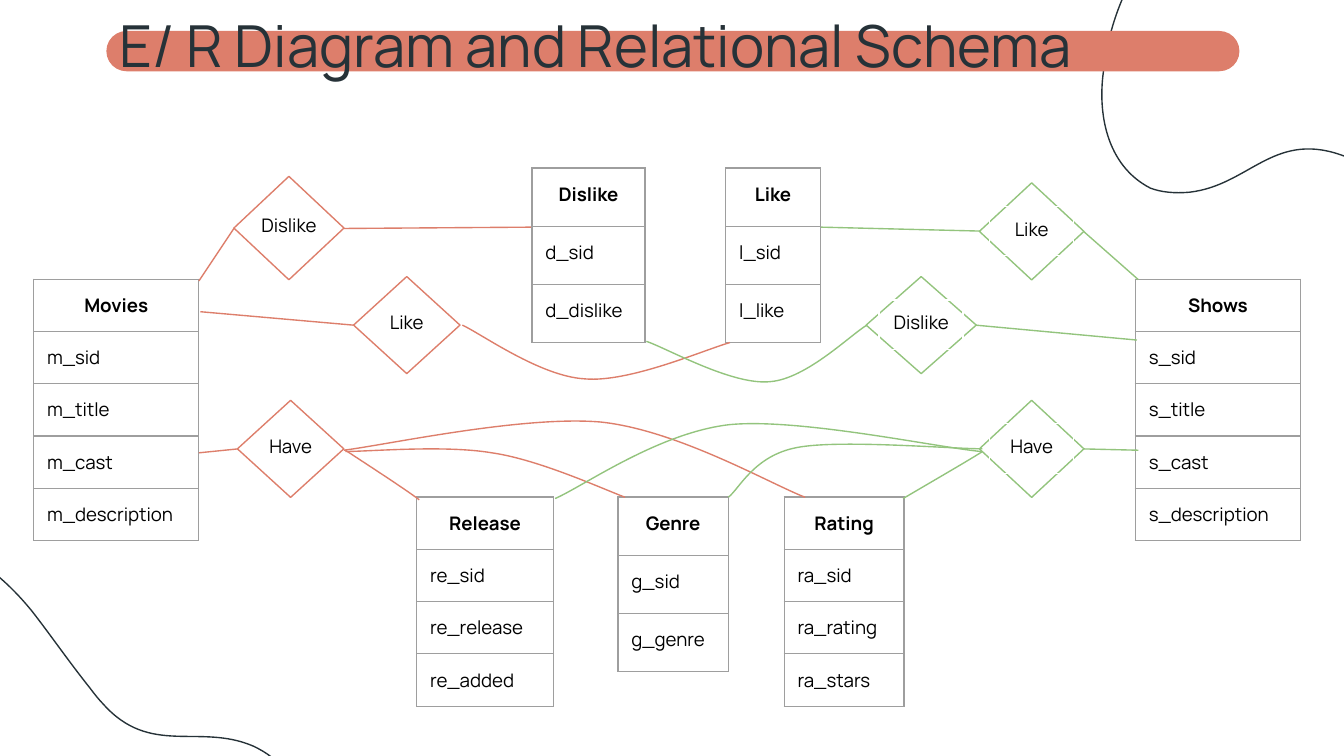
from dataclasses import dataclass

from lxml import etree
from pptx import Presentation
from pptx.dml.color import RGBColor
from pptx.enum.shapes import MSO_CONNECTOR, MSO_SHAPE
from pptx.enum.text import MSO_ANCHOR, MSO_AUTO_SIZE, PP_ALIGN
from pptx.oxml.ns import qn
from pptx.util import Pt

STRAIGHT = MSO_CONNECTOR.STRAIGHT
DIAMOND, PILL, BOX = MSO_SHAPE.DIAMOND, MSO_SHAPE.ROUNDED_RECTANGLE, MSO_SHAPE.RECTANGLE
LEFT, CENTER = PP_ALIGN.LEFT, PP_ALIGN.CENTER
TOP, MIDDLE = MSO_ANCHOR.TOP, MSO_ANCHOR.MIDDLE
GROW = MSO_AUTO_SIZE.SHAPE_TO_FIT_TEXT


@dataclass(frozen=True)
class Theme:
    ink: str = "263238"
    black: str = "000000"
    white: str = "FFFFFF"
    coral: str = "DD7E6B"
    green: str = "93C47D"
    border: str = "9E9E9E"
    font: str = "Manrope"
    title_size: float = 31
    text_size: float = 10
    line_width: float = 0.75
    inset: float = 7.2


@dataclass(frozen=True)
class Entity:
    left: float
    top: float
    width: float
    row_height: float
    names: tuple[str, ...]


@dataclass(frozen=True)
class Relation:
    label: str
    left: float
    top: float
    width: float
    height: float
    color: str
    label_outline: bool = False


@dataclass(frozen=True)
class Link:
    color: str
    points: tuple[tuple[float, float], ...]


THEME = Theme()
CORAL, GREEN = THEME.coral, THEME.green
LABEL_WIDTH, LABEL_HEIGHT, LABEL_RISE = 45, 26.6, 13.5

ENTITIES = (
    Entity(285, 90, 60.5, 31.2, ("Dislike", "d_sid", "d_dislike")),
    Entity(388.8, 90, 50.6, 31.2, ("Like", "l_sid", "l_like")),
    Entity(18, 149.6, 88.5, 28, ("Movies", "m_sid", "m_title", "m_cast", "m_description")),
    Entity(608.2, 149.6, 88.5, 28, ("Shows", "s_sid", "s_title", "s_cast", "s_description")),
    Entity(223.2, 266.3, 73.2, 28, ("Release", "re_sid", "re_release", "re_added")),
    Entity(331.1, 266.3, 59, 31.2, ("Genre", "g_sid", "g_genre")),
    Entity(420.1, 266.3, 64.2, 28, ("Rating", "ra_sid", "ra_rating", "ra_stars")),
)
RELATIONS = (
    Relation("Like", 524.7, 98, 56, 52, GREEN, True),
    Relation("Have", 524.7, 214.5, 56, 52, GREEN, True),
    Relation("Dislike", 464, 148.2, 59, 52, GREEN, True),
    Relation("Dislike", 125.3, 94.5, 59, 55.4, CORAL),
    Relation("Have", 127.2, 214.5, 57, 52, CORAL),
    Relation("Like", 189.4, 148.2, 57, 52, CORAL),
)
LINES = (
    Link(CORAL, ((106.6, 150.5), (125.3, 122.4))),
    Link(CORAL, ((107.3, 167), (189.4, 174.2))),
    Link(CORAL, ((106.6, 242.6), (127.4, 240.5))),
    Link(CORAL, ((184.3, 122.4), (284.4, 121.7))),
    Link(GREEN, ((524.9, 123.8), (439.9, 121.7))),
    Link(GREEN, ((580.3, 123.8), (609.8, 149.8))),
    Link(GREEN, ((522.7, 174.2), (609.1, 182.2))),
    Link(GREEN, ((580.3, 240.5), (609.8, 241.2))),
)
# Each curve is a start point followed by cubic triples
CURVES = (
    Link(CORAL, ((247.7, 174.2), (258.5, 179.3), (289.4, 201.6), (313.2, 203),
                 (337, 205.2), (378, 187.2), (391, 183.6))),
    Link(GREEN, ((464.4, 174.2), (455.8, 179.3), (432, 203), (412.6, 204.5),
                 (392.4, 206.6), (357.1, 186.5), (346.3, 182.9))),
    Link(CORAL, ((184.3, 241.2), (207.4, 238.3), (280.1, 222.5), (321.8, 226.1),
                 (362.9, 230.4), (412.6, 259.2), (431.3, 266.4))),
    Link(CORAL, ((185, 241.9), (198, 241.9), (238.3, 238.3), (263.5, 242.6),
                 (288.7, 246.2), (323.3, 262.1), (334.8, 266.4))),
    Link(CORAL, ((185, 241.2), (191.5, 245.5), (218.2, 262.8), (224.6, 267.8))),
    Link(GREEN, ((525.6, 241.9), (502.6, 239.8), (428.4, 223.9), (391, 227.5),
                 (352.8, 231.8), (312.5, 260.6), (297.4, 267.1))),
    Link(GREEN, ((526.3, 240.5), (509.8, 240.5), (449.3, 235.4), (427, 239.8),
                 (403.9, 244.1), (396, 262.1), (390.2, 266.4))),
    Link(GREEN, ((526.3, 241.9), (519.8, 246.2), (491, 262.8), (483.8, 267.1))),
)
BLOBS = (
    Link(THEME.ink, (
        (616.3, 100.8), (622.1, 103), (629.3, 103.7), (637.2, 103), (668.9, 99.4),
        (681.8, 70.6), (717.8, 82.8), (721.4, 84.2), (725, 85), (728.6, 86.4),
        (745.2, 92.9), (760.3, 100.8), (775.4, 106.6), (794.2, 113.8), (812.9, 118.1),
        (836.6, 114.5), (877.7, 109.4), (895, 85), (900, 51.1), (910.1, -7.9),
        (872.6, -51.1), (818.6, -72), (795.6, -80.6), (769.7, -85), (743, -85),
        (658.1, -85), (599, -33.1), (591.1, 38.9), (588.2, 60.5), (592.6, 88.6),
        (616.3, 100.8))),
    Link(THEME.ink, (
        (152.6, 412.6), (148.3, 407.5), (143.3, 403.2), (135.4, 399.6), (106.6, 387.4),
        (80.6, 405.4), (55.4, 377.3), (52.6, 374.4), (50.4, 371.5), (48.2, 368.6),
        (36.7, 354.2), (27.4, 340.6), (17.3, 327.6), (5, 312.5), (-9.4, 299.5),
        (-31.7, 290.2), (-69.8, 274.3), (-96.5, 287.3), (-118.8, 313.9), (-156.2, 360),
        (-145.4, 416.2), (-109.4, 460.8), (-93.6, 480.2), (-73.4, 496.8), (-50.4, 510.5),
        (23, 552.2), (100.1, 537.1), (143.3, 478.8), (156.2, 461.5), (169.9, 432),
        (152.6, 412.6))),
)


def write(frame, text: str, *, size: float = THEME.text_size, color: str = THEME.black,
          bold: bool = False, align=LEFT, anchor=TOP) -> None:
    frame.margin_left = frame.margin_right = Pt(THEME.inset)
    frame.margin_top = frame.margin_bottom = Pt(THEME.inset)
    frame.word_wrap, frame.vertical_anchor = True, anchor
    paragraph = frame.paragraphs[0]
    paragraph.alignment = align
    run = paragraph.add_run()
    run.text = text
    run.font.name, run.font.size, run.font.bold = THEME.font, Pt(size), bold
    run.font.color.rgb = RGBColor.from_string(color)


def paint(shape, *, fill: str = "", line: str = "") -> None:
    shape.shadow.inherit = False
    for part, color in ((shape.fill, fill), (shape.line.fill, line)):
        if color:
            part.solid()
            part.fore_color.rgb = RGBColor.from_string(color)
        else:
            part.background()
    shape.line.width = Pt(THEME.line_width) if line else 0


def add_box(shapes, kind, left: float, top: float, width: float, height: float, **colors):
    shape = shapes.add_shape(kind, Pt(left), Pt(top), Pt(width), Pt(height))
    paint(shape, **colors)
    return shape


def add_curve(shapes, link: Link, close: bool = False) -> None:
    start, *rest = [(Pt(x), Pt(y)) for x, y in link.points]
    builder = shapes.build_freeform(*start)
    builder.add_line_segments(rest, close=close)
    shape = builder.convert_to_shape()
    paint(shape, line=link.color)
    # Turn every three line segments into one cubic segment
    segments = list(shape._element.iter(qn("a:lnTo")))
    for index in range(0, len(rest), 3):
        first = segments[index]
        cubic = etree.Element(qn("a:cubicBezTo"))
        first.addprevious(cubic)
        for segment in segments[index:index + 3]:
            cubic.append(segment[0])
            segment.getparent().remove(segment)


def add_line(shapes, link: Link) -> None:
    ends = [Pt(value) for point in link.points for value in point]
    line = shapes.add_connector(STRAIGHT, *ends)
    line.line.color.rgb = RGBColor.from_string(link.color)
    line.line.width = Pt(THEME.line_width)
    etree.SubElement(line._element.spPr, qn("a:effectLst"))


def add_entity(shapes, entity: Entity) -> None:
    count = len(entity.names)
    table = shapes.add_table(count, 1, Pt(entity.left), Pt(entity.top), Pt(entity.width),
                             Pt(entity.row_height * count)).table
    table.first_row = table.horz_banding = False
    for index, name in enumerate(entity.names):
        table.rows[index].height = Pt(entity.row_height)
        cell, header = table.cell(index, 0), index == 0
        write(cell.text_frame, name, bold=header, align=CENTER if header else LEFT)
        cell.margin_left = cell.margin_right = Pt(THEME.inset)
        cell.margin_top = cell.margin_bottom = Pt(THEME.inset)
        properties = cell._tc.get_or_add_tcPr()
        for side in "LRTB":
            border = etree.SubElement(properties, qn(f"a:ln{side}"), w=str(Pt(THEME.line_width)))
            fill = etree.SubElement(border, qn("a:solidFill"))
            etree.SubElement(fill, qn("a:srgbClr"), val=THEME.border)
        cell.fill.background()


def add_relation(shapes, relation: Relation) -> None:
    add_box(shapes, DIAMOND, relation.left, relation.top, relation.width, relation.height,
            fill=THEME.white, line=relation.color)
    left = relation.left + (relation.width - LABEL_WIDTH) / 2
    top = relation.top + relation.height / 2 - LABEL_RISE
    label = add_box(shapes, BOX, left, top, LABEL_WIDTH, LABEL_HEIGHT,
                    line=THEME.white if relation.label_outline else "")
    write(label.text_frame, relation.label, align=CENTER)
    label.text_frame.auto_size = GROW


presentation = Presentation()
presentation.slide_width, presentation.slide_height = Pt(720), Pt(405)
slide = presentation.slides.add_slide(presentation.slide_layouts[5])
shapes = slide.shapes

# Background outlines and title
for blob in BLOBS:
    add_curve(shapes, blob, close=True)
add_box(shapes, PILL, 57, 16.6, 607, 21.6, fill=CORAL).adjustments[0] = 0.5
title = shapes.title
title.left, title.top, title.width, title.height = Pt(57), Pt(0), Pt(607), Pt(48)
write(title.text_frame, "E/ R Diagram and Relational Schema", size=THEME.title_size,
      color=THEME.ink, anchor=MIDDLE)
shapes._spTree.append(title._element)

# Entities, relations and the links between them
for entity in ENTITIES:
    add_entity(shapes, entity)
for relation in RELATIONS:
    add_relation(shapes, relation)
for line in LINES:
    add_line(shapes, line)
for curve in CURVES:
    add_curve(shapes, curve)

presentation.save("out.pptx")
